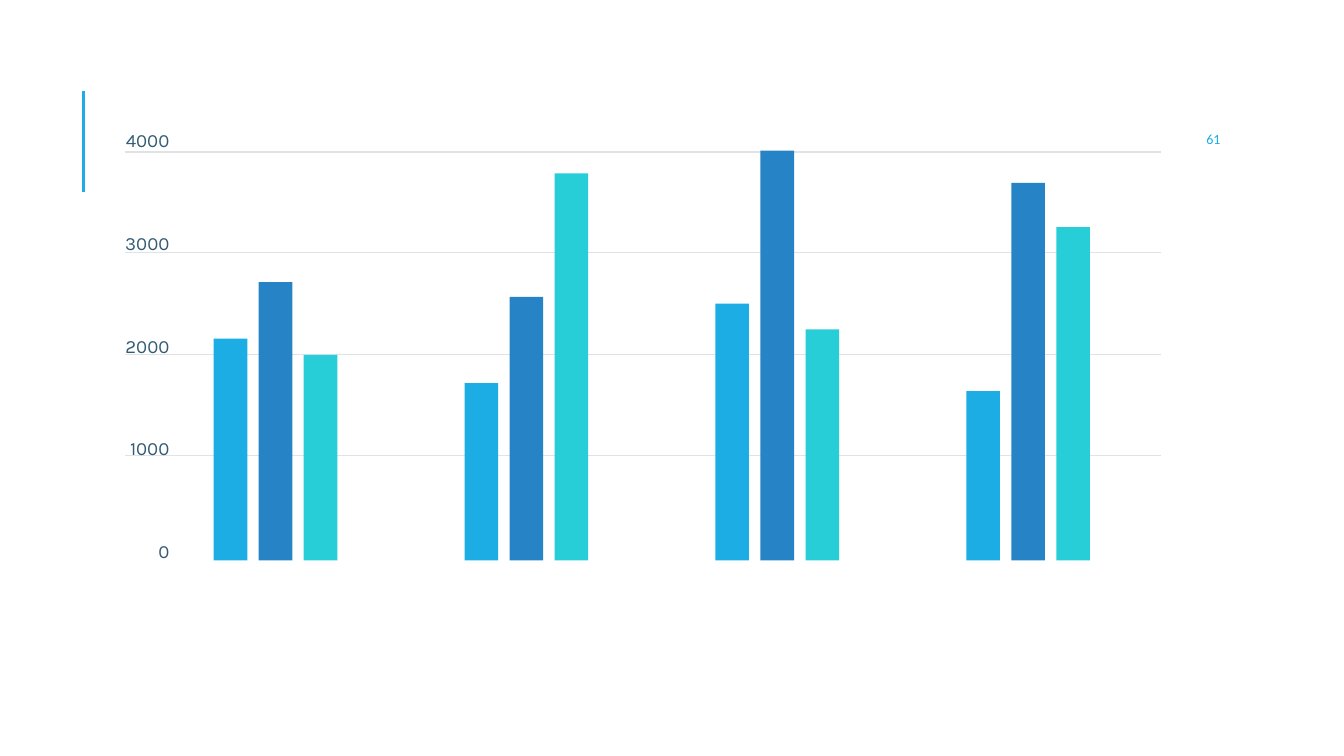
from pptx import Presentation
from pptx.dml.color import RGBColor
from pptx.enum.shapes import MSO_CONNECTOR, MSO_SHAPE
from pptx.enum.text import MSO_ANCHOR, PP_ALIGN
from pptx.oxml.ns import qn
from pptx.util import Inches, Pt
from lxml import etree

COLORS = {"sky": "1CADE4", "blue": "2683C6", "teal": "27CED7",
          "grid": "DFE3E5", "label": "335B74"}

prs = Presentation()
prs.slide_width = Inches(10)
prs.slide_height = Inches(10 * 9 / 16)
s = prs.slides.add_slide(prs.slide_layouts[6])


def add_line(x1, y1, x2, y2, color, width):
    line = s.shapes.add_connector(MSO_CONNECTOR.STRAIGHT, Inches(x1), Inches(y1),
                                  Inches(x2), Inches(y2))
    line.line.color.rgb = RGBColor.from_string(COLORS[color])
    line.line.width = Pt(width)
    etree.SubElement(line._element.spPr, qn("a:effectLst"))


def add_right_text(x, y, w, h, lines, font, size, color, inset, gap=0):
    """Add a right-aligned text box with gap points between its paragraphs."""
    tf = s.shapes.add_textbox(Inches(x), Inches(y), Inches(w), Inches(h)).text_frame
    tf.word_wrap = True
    tf.margin_left = tf.margin_right = Inches(inset)
    tf.margin_top = tf.margin_bottom = Inches(inset)
    for i, text in enumerate(lines):
        p = tf.add_paragraph() if i else tf.paragraphs[0]
        p.alignment = PP_ALIGN.RIGHT
        if i:
            p.space_before = Pt(gap)
        r = p.add_run()
        r.text = text
        r.font.name, r.font.size = font, Pt(size)
        r.font.color.rgb = RGBColor.from_string(COLORS[color])
    return tf


# Accent line and slide number
add_line(0.62, 1.43, 0.62, 0.68, "sky", 1.5)
number = add_right_text(8.58, 0.71, 0.6, 0.45, ["61"], "Calibri", 7.5, "sky", 0.1)
number.vertical_anchor = MSO_ANCHOR.BOTTOM

# Gridlines and axis labels
for y in (1.13, 1.88, 2.64, 3.39):
    add_line(0.93, y, 8.64, y, "grid", 0.75)
add_right_text(0.93, 0.96, 0.33, 3.23, ["4000", "3000", "2000", "1000", "0"],
               "Karla", 10, "label", 0, gap=43)

# Bars: four groups of three, standing on one baseline
BASELINE, BAR_WIDTH = 4.17, 0.25
FIRST_LEFT, GROUP_STEP, BAR_STEP = 1.59, 5.6 / 3, 0.67 / 2
bar_heights = [(1.65, 2.07, 1.53), (1.32, 1.96, 2.88),
               (1.91, 3.05, 1.72), (1.26, 2.81, 2.48)]
for group, heights in enumerate(bar_heights):
    for i, (height, color) in enumerate(zip(heights, ("sky", "blue", "teal"))):
        left = FIRST_LEFT + group * GROUP_STEP + i * BAR_STEP
        bar = s.shapes.add_shape(MSO_SHAPE.RECTANGLE, Inches(left),
                                 Inches(BASELINE - height),
                                 Inches(BAR_WIDTH), Inches(height))
        bar.shadow.inherit = False
        bar.fill.solid()
        bar.fill.fore_color.rgb = RGBColor.from_string(COLORS[color])
        bar.line.fill.background()

prs.save("out.pptx")
